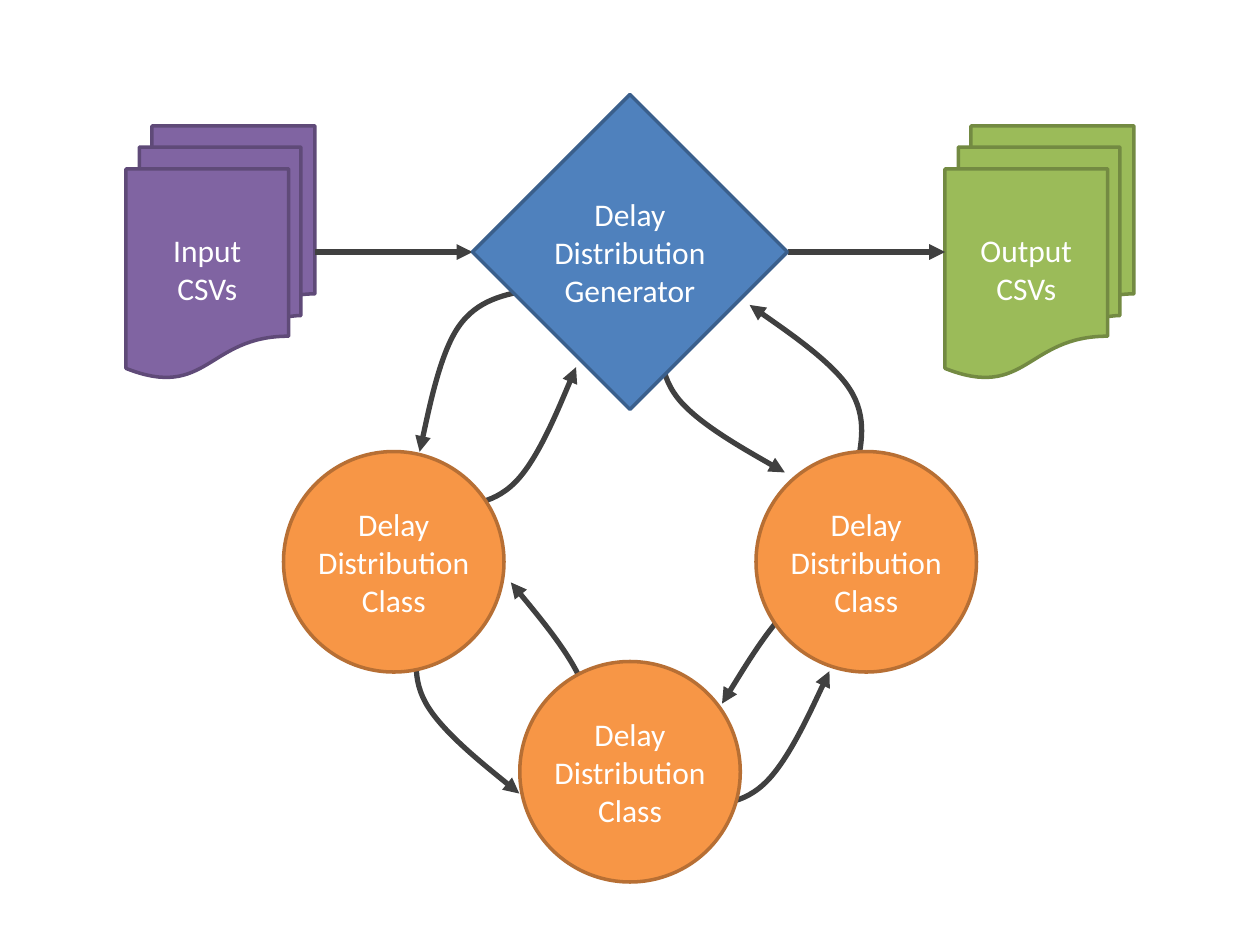
from typing import NamedTuple

from lxml.etree import SubElement
from pptx import Presentation
from pptx.dml.color import RGBColor
from pptx.enum.shapes import MSO_CONNECTOR, MSO_SHAPE
from pptx.enum.text import MSO_ANCHOR, PP_ALIGN
from pptx.oxml.ns import qn
from pptx.util import Pt

GREY = "404040"
WHITE = "FFFFFF"
ORANGE, RUST = "F79646", "B76F34"
LABEL = "Delay Distribution Class"
CIRCLE = 126
# Start point, then two cubic segments of three points each
CURVE = [(64.8, 0), (49, 2.9), (33, 5.8), (22.2, 21.5),
         (11.4, 37), (0, 92.9), (0, 92.9)]


class Node(NamedTuple):
    """A labelled preset shape."""
    kind: MSO_SHAPE
    left: float
    top: float
    width: float
    height: float
    fill: str
    edge: str
    text: str
    inset: float = 0


class Arc(NamedTuple):
    """A curved arrow, placed by its unrotated corner."""
    left: float
    top: float
    turn: float = 0


def color(code: str) -> RGBColor:
    """Turn a hex string into a colour."""
    return RGBColor.from_string(code)


def write(shape, text: str, *, size: float = 18, font: str = "Calibri",
          ink: str = WHITE, inset: float = 0) -> None:
    """Put centred text in a shape, one paragraph per line."""
    frame = shape.text_frame
    frame.word_wrap = True
    frame.vertical_anchor = MSO_ANCHOR.MIDDLE
    frame.margin_left = frame.margin_right = Pt(inset)
    frame.margin_top = frame.margin_bottom = Pt(3.6)
    frame.text = text
    for para in frame.paragraphs:
        para.alignment = PP_ALIGN.CENTER
        para.font.size = Pt(size)
        para.font.name = font
        para.font.color.rgb = color(ink)


def add_node(shapes, node: Node) -> None:
    """Draw one labelled shape."""
    shape = shapes.add_shape(node.kind, Pt(node.left), Pt(node.top),
                             Pt(node.width), Pt(node.height))
    shape.shadow.inherit = False
    shape.fill.solid()
    shape.fill.fore_color.rgb = color(node.fill)
    shape.line.color.rgb = color(node.edge)
    shape.line.width = Pt(2)
    write(shape, node.text, inset=node.inset)


def style_arrow(item) -> None:
    """Give a line its colour, width and arrowhead."""
    item.line.color.rgb = color(GREY)
    item.line.width = Pt(3)
    edge = item.element.find(".//" + qn("a:ln"))
    SubElement(edge, qn("a:tailEnd"), type="triangle")


def add_arrow(shapes, left: float, right: float, y: float) -> None:
    """Draw a straight arrow from left to right."""
    line = shapes.add_connector(MSO_CONNECTOR.STRAIGHT,
                                Pt(left), Pt(y), Pt(right), Pt(y))
    style_arrow(line)
    SubElement(line.element.spPr, qn("a:effectLst"))


def add_arc(shapes, arc: Arc) -> None:
    """Draw the shared curve, moved and turned."""
    points = [(Pt(x), Pt(y)) for x, y in CURVE]
    pen = shapes.build_freeform(*points[0])
    pen.add_line_segments(points[1:], close=False)
    shape = pen.convert_to_shape(Pt(arc.left), Pt(arc.top))
    shape.shadow.inherit = False
    shape.fill.background()
    shape.rotation = arc.turn
    style_arrow(shape)
    # Merge every three straight steps into one cubic segment
    route = shape.element.find(".//" + qn("a:path"))
    steps = route.findall(qn("a:lnTo"))
    for first in range(0, len(steps), 3):
        cubic = SubElement(route, qn("a:cubicBezTo"))
        for step in steps[first:first + 3]:
            cubic.append(step[0])
            route.remove(step)


DOCS = [
    Node(MSO_SHAPE.FLOWCHART_MULTIDOCUMENT, left, 72, 108, 144,
         fill, edge, text, 7.2)
    for left, fill, edge, text in [
        (72, "8064A2", "5F4A78", "Input\nCSVs"),
        (540, "9BBB59", "738A42", "Output\nCSVs"),
    ]
]
ARCS = [
    Arc(239.8, 165.3),
    Arc(237.6, 357.1, 296.9),
    Arc(399.6, 375.1, 192.9),
    Arc(426.2, 175.7, 112.8),
    Arc(256.3, 203, 190.7),
    Arc(275.8, 340.6, 128.4),
    Arc(426.2, 322.6, 19.4),
    Arc(381.6, 178.6, 287.6),
]
CORE = [Node(MSO_SHAPE.DIAMOND, 270, 54, 180, 180, "4F81BD", "3A5F8C",
             "Delay Distribution Generator")]
CORE += [Node(MSO_SHAPE.OVAL, left, top, CIRCLE, CIRCLE, ORANGE, RUST, LABEL)
         for left, top in [(162, 258), (432, 258), (297, 378)]]


def main() -> None:
    """Build and save the slide."""
    deck = Presentation()
    deck.slide_width, deck.slide_height = Pt(720), Pt(540)
    shapes = deck.slides.add_slide(deck.slide_layouts[6]).shapes
    for node in DOCS:
        add_node(shapes, node)
    for left, right in [(180, 270), (450, 540)]:
        add_arrow(shapes, left, right, 144)
    for arc in ARCS:
        add_arc(shapes, arc)
    for node in CORE:
        add_node(shapes, node)
    deck.save("out.pptx")


main()
